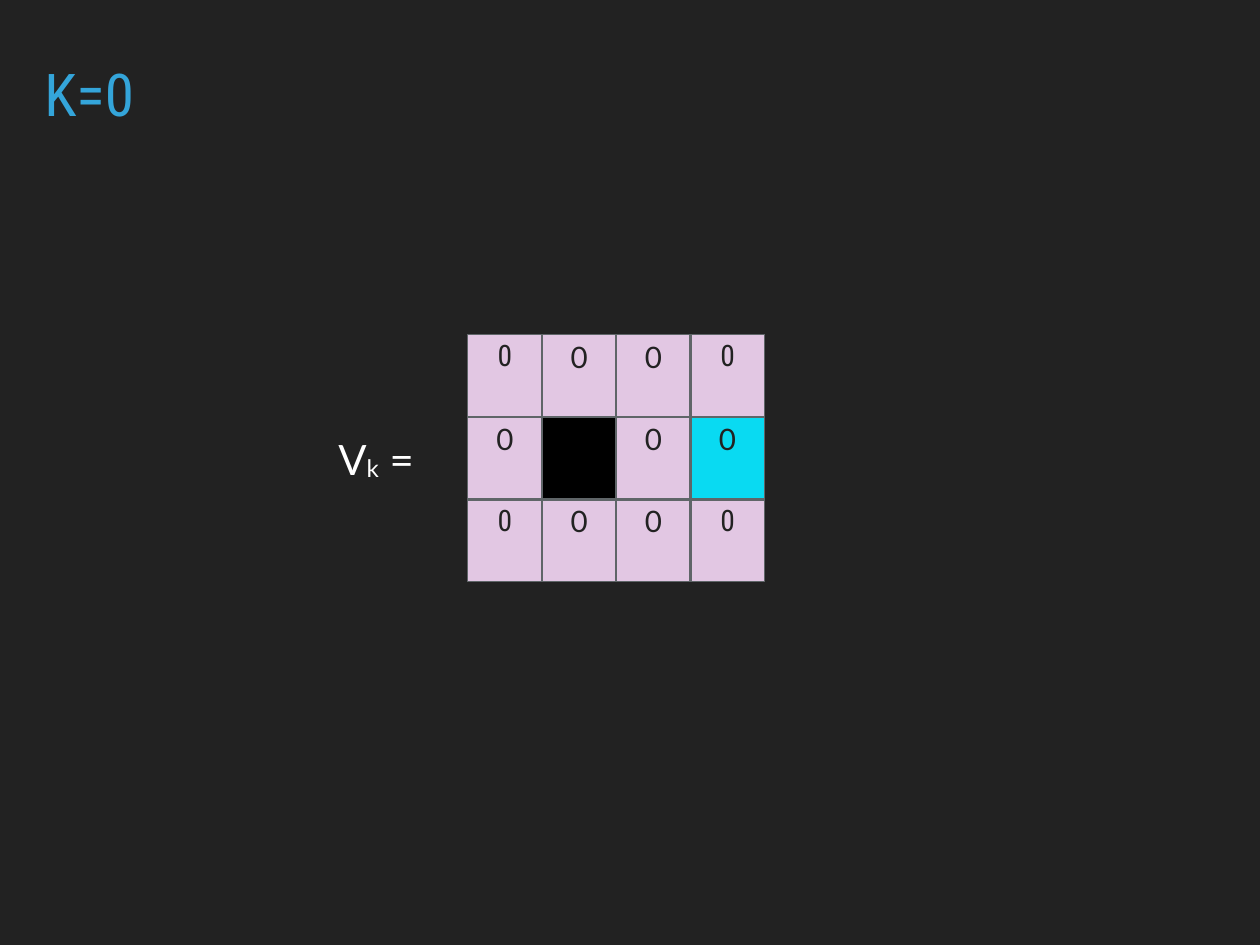
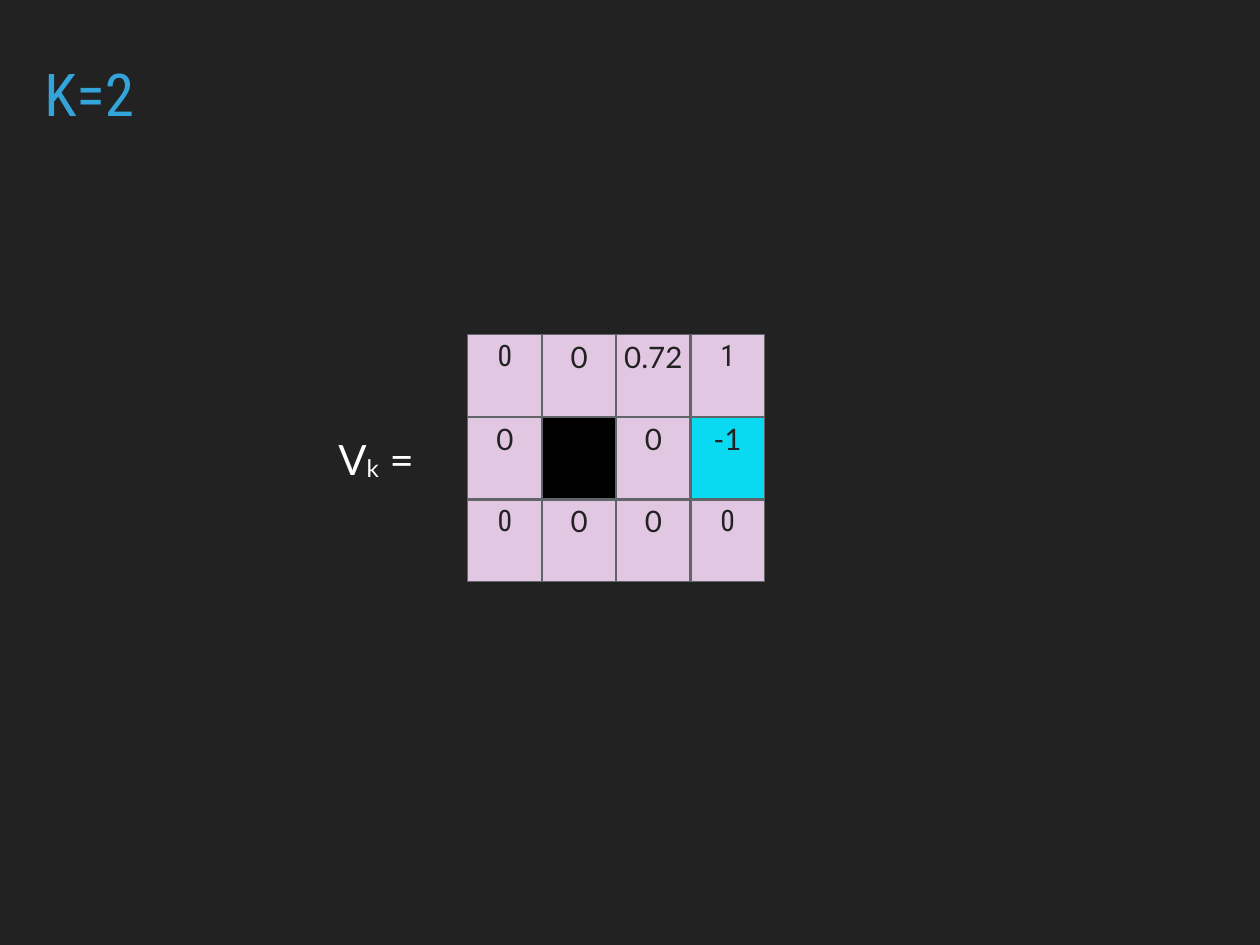
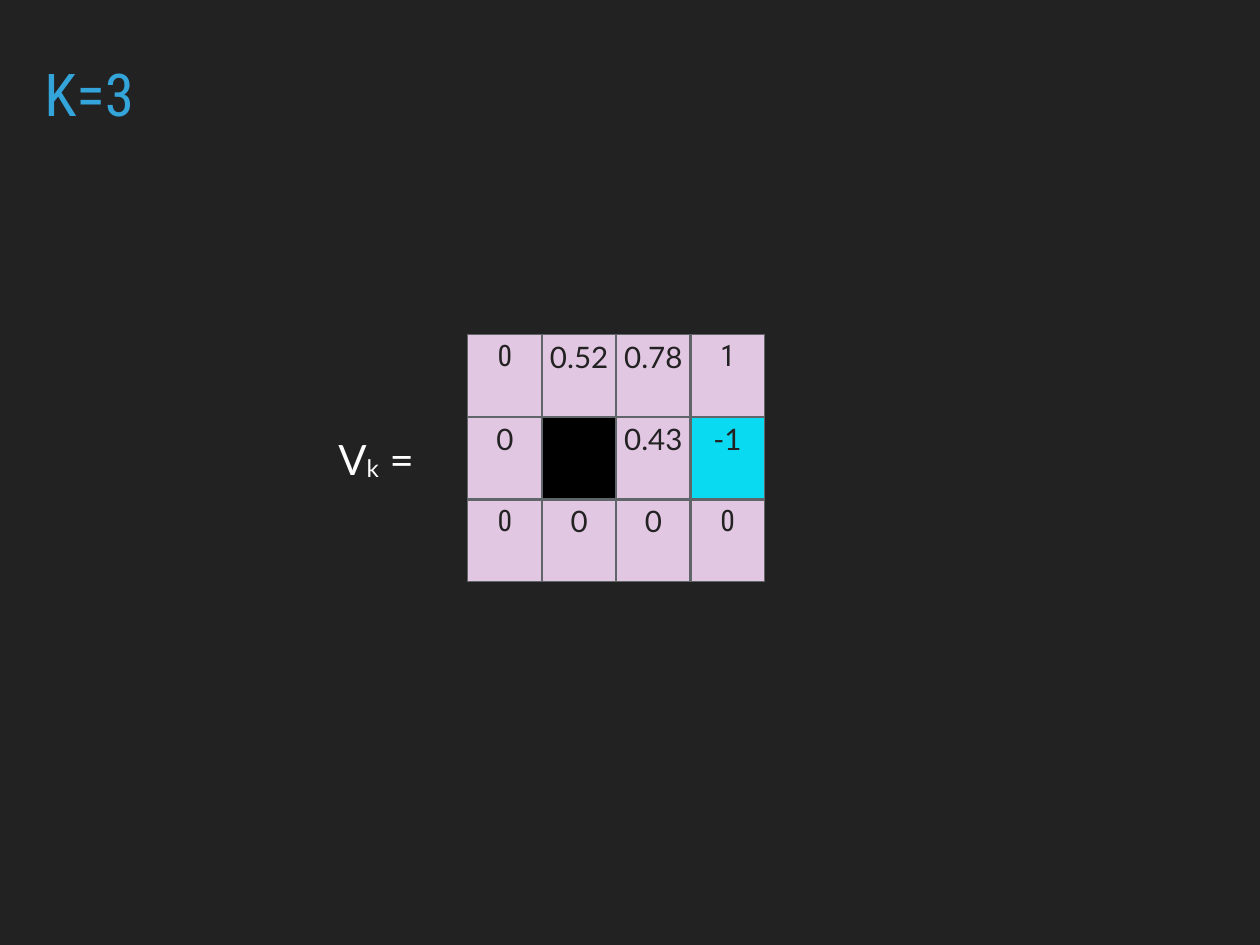
import pptx
import pptx.util
import pptx.dml.color
import pptx.enum.text
import pptx.oxml.ns
from lxml import etree

Inches, Pt = pptx.util.Inches, pptx.util.Pt
RGBColor = pptx.dml.color.RGBColor
PP_ALIGN, MSO_ANCHOR = pptx.enum.text.PP_ALIGN, pptx.enum.text.MSO_ANCHOR
MSO_AUTO_SIZE = pptx.enum.text.MSO_AUTO_SIZE

# Content: one value grid per iteration; None is the wall
ITERATIONS = [
    ("K=0", [["0", "0", "0", "0"],
             ["0", None, "0", "0"],
             ["0", "0", "0", "0"]]),
    ("K=2", [["0", "0", "0.72", "1"],
             ["0", None, "0", "-1"],
             ["0", "0", "0", "0"]]),
    ("K=3", [["0", "0.52", "0.78", "1"],
             ["0", None, "0.43", "-1"],
             ["0", "0", "0", "0"]]),
]
SYMBOL = [("V", 0), ("k", -5), (" =", 0)]  # text, baseline shift in percent
PIT = (1, 3)

# Shared look
BACKGROUND = RGBColor(0x22, 0x22, 0x22)
TITLE_BLUE = RGBColor(0x34, 0xA5, 0xDA)
WHITE = RGBColor(0xFF, 0xFF, 0xFF)
WALL_BLACK = RGBColor(0x00, 0x00, 0x00)
STATE_PINK = RGBColor(0xE2, 0xC7, 0xE3)
PIT_CYAN = RGBColor(0x09, 0xDA, 0xF2)
BORDER_GREY = RGBColor(0x5F, 0x65, 0x68)
HEADING_FONT, BODY_FONT = "Roboto Condensed", "Lato"
OUTER_LINE, INNER_LINE = Pt(0.96), Pt(1.98)

SLIDE_SIZE = Inches(14.22), Inches(10.67)
TITLE_BOX = [Inches(v) for v in (0.44, 0.74, 13.33, 0.79)]
SYMBOL_BOX = [Inches(v) for v in (3.76, 4.84, 1.29, 0.68)]
GRID_BOX = [Inches(v) for v in (5.28, 3.78, 3.35, 2.79)]


def set_margins(holder, across, down):
    holder.margin_left = holder.margin_right = Inches(across)
    holder.margin_top = holder.margin_bottom = Inches(down)


def style(font, name, size, color):
    font.name, font.size, font.color.rgb = name, Pt(size), color


def add_border(cell, side, width):
    qn = pptx.oxml.ns.qn
    line = etree.SubElement(cell._tc.get_or_add_tcPr(), qn("a:ln" + side), w=str(width))
    fill = etree.SubElement(line, qn("a:solidFill"))
    etree.SubElement(fill, qn("a:srgbClr"), val=str(BORDER_GREY))


def add_title(slide, heading):
    frame = slide.shapes.title.text_frame
    frame.text = heading
    frame.auto_size = MSO_AUTO_SIZE.NONE
    frame.vertical_anchor = MSO_ANCHOR.TOP
    set_margins(frame, 0.06, 0.06)
    paragraph = frame.paragraphs[0]
    paragraph.alignment = PP_ALIGN.LEFT
    paragraph.line_spacing = 0.8
    style(paragraph.runs[0].font, HEADING_FONT, 48, TITLE_BLUE)


def add_symbol(slide):
    frame = slide.shapes.add_textbox(*SYMBOL_BOX).text_frame
    frame.word_wrap = False
    frame.auto_size = MSO_AUTO_SIZE.SHAPE_TO_FIT_TEXT
    frame.vertical_anchor = MSO_ANCHOR.MIDDLE
    set_margins(frame, 0.06, 0.06)
    for text, shift in SYMBOL:
        run = frame.paragraphs[0].add_run()
        run.text = text
        style(run.font, BODY_FONT, 34, WHITE)
        if shift:
            run._r.get_or_add_rPr().set("baseline", str(shift * 1000))


def add_value_grid(slide, values):
    rows, cols = len(values), len(values[0])
    table = slide.shapes.add_table(rows, cols, *GRID_BOX).table
    table.first_row = table.horz_banding = False
    for r, row in enumerate(values):
        for c, value in enumerate(row):
            cell = table.cell(r, c)
            set_margins(cell, 0.06, 0.05)
            # Thin lines on the rim, thicker ones inside
            rim = {"L": c == 0, "R": c == cols - 1, "T": r == 0, "B": r == rows - 1}
            for side, on_rim in rim.items():
                add_border(cell, side, OUTER_LINE if on_rim else INNER_LINE)
            cell.fill.solid()
            if value is None:
                cell.fill.fore_color.rgb = WALL_BLACK
                continue
            cell.fill.fore_color.rgb = PIT_CYAN if (r, c) == PIT else STATE_PINK
            cell.text_frame.text = value
            paragraph = cell.text_frame.paragraphs[0]
            paragraph.alignment = PP_ALIGN.CENTER
            corner = r in (0, rows - 1) and c in (0, cols - 1)
            style(paragraph.runs[0].font, HEADING_FONT if corner else BODY_FONT,
                  24, BACKGROUND)


def main():
    deck = pptx.Presentation()
    deck.slide_width, deck.slide_height = SLIDE_SIZE
    backdrop = deck.slide_master.background.fill
    backdrop.solid()
    backdrop.fore_color.rgb = BACKGROUND
    layout = deck.slide_layouts.get_by_name("Title Only")
    heading = layout.placeholders[0]
    heading.left, heading.top, heading.width, heading.height = TITLE_BOX

    for name, values in ITERATIONS:
        slide = deck.slides.add_slide(layout)
        add_title(slide, name)
        add_value_grid(slide, values)
        add_symbol(slide)
    deck.save("out.pptx")


if __name__ == "__main__":
    main()
